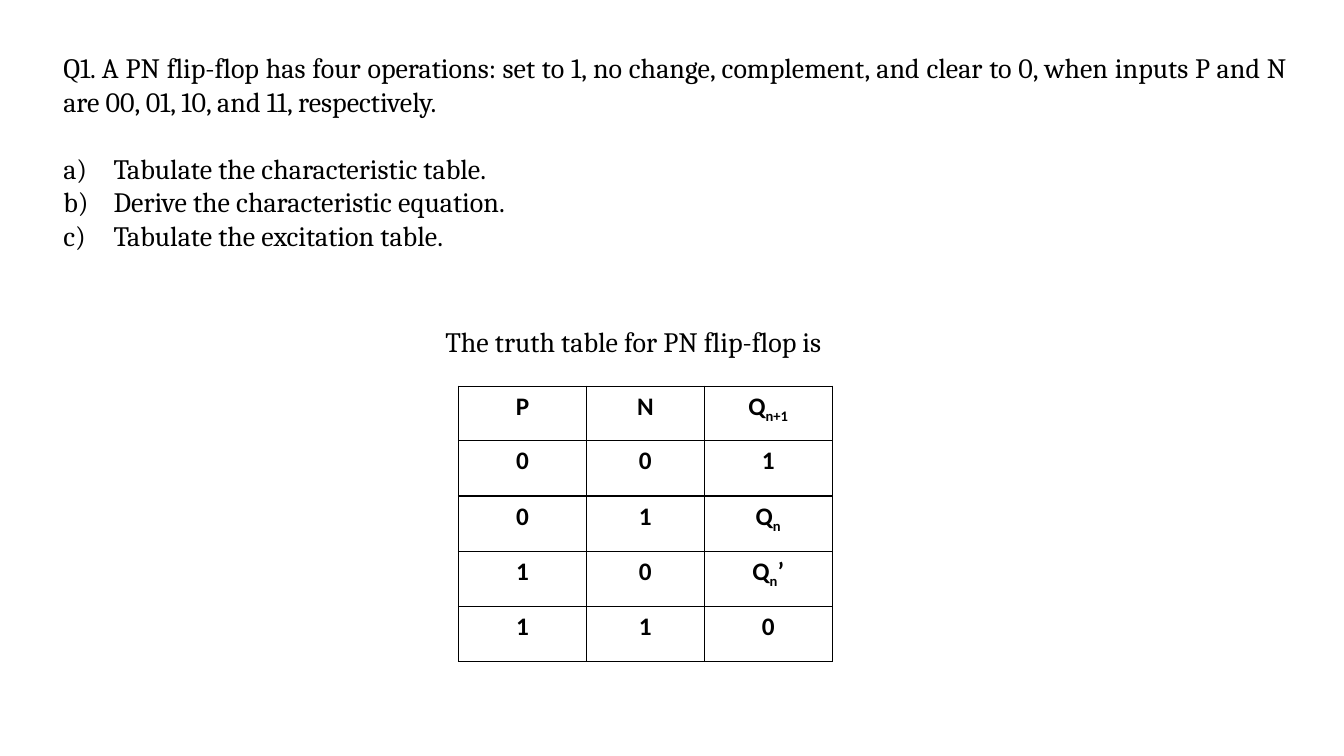
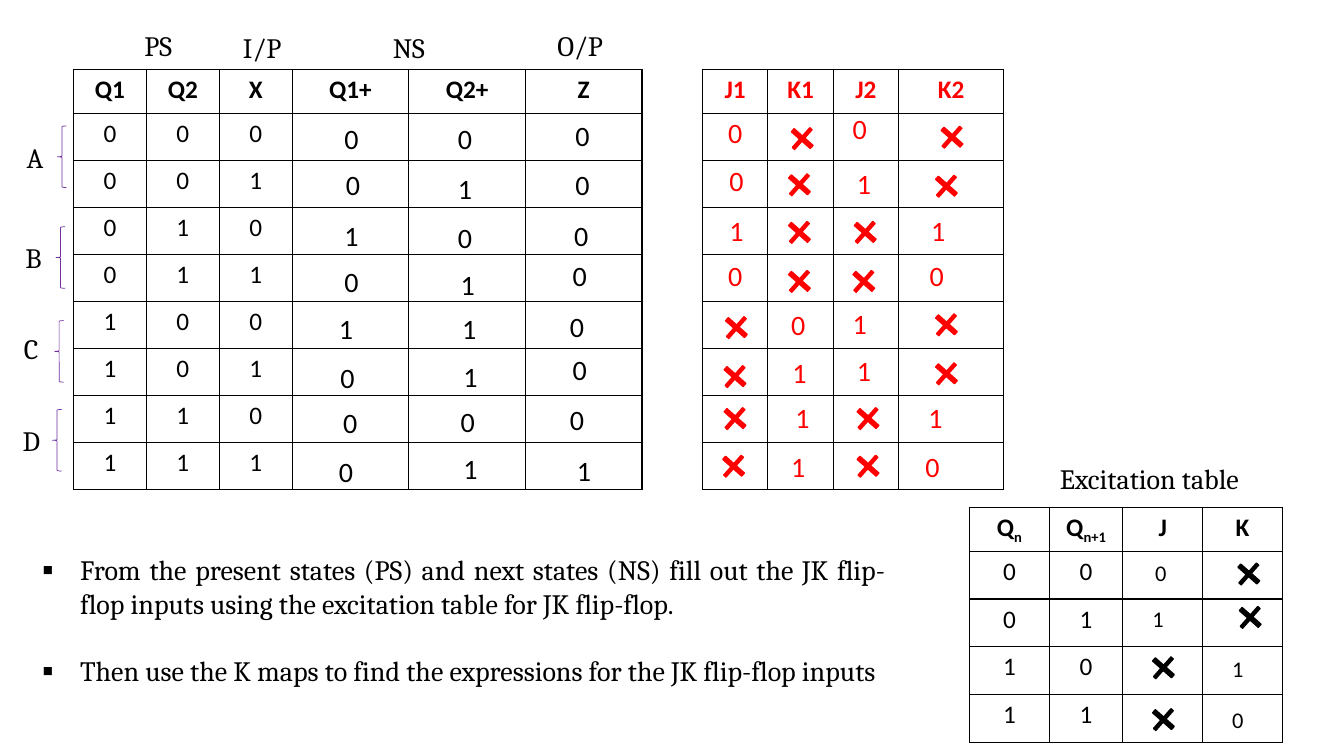
import dataclasses
import itertools
import typing

import lxml.etree
import pptx
import pptx.dml.color
import pptx.enum.shapes
import pptx.enum.text
import pptx.oxml.ns
import pptx.util

Pt = pptx.util.Pt
qn = pptx.oxml.ns.qn
KIND = pptx.enum.shapes.MSO_SHAPE
ALIGN = pptx.enum.text.PP_ALIGN
HUES = {"ink": "000000", "red": "FF0000", "brace": "7030A0"}
SERIF, SANS = "Cambria", "Calibri"


@dataclasses.dataclass
class Grid:
    x: float
    y: float
    cols: list[float]
    head: float
    step: float
    rows: list[list[str]]
    hue: str = "ink"
    bold: bool = False


@dataclasses.dataclass
class Column:
    """Marks that fill one table column, with their centres."""
    marks: str
    xs: tuple[float, ...]
    ys: tuple[float, ...]
    hue: str = "ink"
    size: float = 20


class Label(typing.NamedTuple):
    text: str
    x: float
    y: float
    width: float


class State(typing.NamedTuple):
    name: str
    x: float
    y: float
    left: float
    top: float


def tint(hue: str) -> pptx.dml.color.RGBColor:
    return pptx.dml.color.RGBColor.from_string(HUES[hue])


def bullet(para, kind: str, sign: str, hang: float) -> None:
    """Give a hanging bullet; kind is buChar or buAutoNum."""
    props = para._p.get_or_add_pPr()
    props.set("marL", str(Pt(hang)))
    props.set("indent", str(-Pt(hang)))
    lxml.etree.SubElement(props, qn("a:buFont"), typeface=SERIF)
    key = "char" if kind == "buChar" else "type"
    lxml.etree.SubElement(props, qn("a:" + kind), {key: sign})


def write(frame, *lines: str, size: float = 20, font: str = SERIF,
          hue: str = "ink", bold: bool = False, align=ALIGN.JUSTIFY,
          gap: float = 0, mark: tuple | None = None) -> None:
    """Fill a frame; underscores switch subscript on and off."""
    frame.word_wrap = True
    for at, line in enumerate(lines):
        para = frame.add_paragraph() if at else frame.paragraphs[0]
        if mark:
            bullet(para, *mark)
        para.alignment = align
        para.line_spacing = 1.0
        para.space_before = Pt(gap if at else 0)
        for part, piece in enumerate(line.split("_")):
            run = para.add_run()
            run.text = piece
            run.font.size, run.font.name = Pt(size), font
            run.font.bold = bold
            run.font.color.rgb = tint(hue)
            if part % 2:
                run._r.get_or_add_rPr().set("baseline", "-25000")


def place(shape, x: float, y: float, width: float, height: float):
    """Move a placeholder and return its text frame."""
    shape.left, shape.top = Pt(x), Pt(y)
    shape.width, shape.height = Pt(width), Pt(height)
    frame = shape.text_frame
    frame.auto_size = pptx.enum.text.MSO_AUTO_SIZE.NONE
    frame.vertical_anchor = pptx.enum.text.MSO_ANCHOR.TOP
    return frame


def box(slide, x: float, y: float, width: float, height: float, text: str,
        **look) -> None:
    shape = slide.shapes.add_textbox(Pt(x), Pt(y), Pt(width), Pt(height))
    write(shape.text_frame, text, **look)


def label(slide, item: Label) -> None:
    box(slide, item.x, item.y, item.width, 31.5, item.text)


def edge(cell) -> None:
    """Draw the four borders of a cell, without fill."""
    props = cell._tc.get_or_add_tcPr()
    for side in ("lnL", "lnR", "lnT", "lnB"):
        line = lxml.etree.SubElement(props, qn("a:" + side), w=str(Pt(1)))
        fill = lxml.etree.SubElement(line, qn("a:solidFill"))
        lxml.etree.SubElement(fill, qn("a:srgbClr"), val=HUES["ink"])
    cell.fill.background()


def table(slide, grid: Grid) -> None:
    count, tall = len(grid.rows), grid.head + grid.step * (len(grid.rows) - 1)
    frame = slide.shapes.add_table(count, len(grid.cols), Pt(grid.x), Pt(grid.y),
                                   Pt(sum(grid.cols)), Pt(tall))
    body = frame.table
    body.first_row = body.horz_banding = False
    for col, width in zip(body.columns, grid.cols):
        col.width = Pt(width)
    for at, (row, texts) in enumerate(zip(body.rows, grid.rows)):
        row.height = Pt(grid.step if at else grid.head)
        for cell, text in itertools.zip_longest(row.cells, texts):
            edge(cell)
            if text:
                write(cell.text_frame, text, size=18, font=SANS, hue=grid.hue,
                      bold=grid.bold or not at, align=ALIGN.CENTER)


def preset(slide, kind, x: float, y: float, width: float, height: float,
           hue: str, line: float):
    shape = slide.shapes.add_shape(kind, Pt(x), Pt(y), Pt(width), Pt(height))
    shape.shadow.inherit = False
    shape.fill.background()
    shape.line.color.rgb = tint(hue)
    shape.line.width = Pt(line)
    return shape


def cross(slide, x: float, y: float, hue: str) -> None:
    shape = preset(slide, KIND.CROSS, x - 9, y - 9.4, 18, 18.8, hue, 1)
    shape.adjustments[0] = 0.44
    shape.rotation = 41.5
    shape.fill.solid()
    shape.fill.fore_color.rgb = tint(hue)


def fill(slide, col: Column) -> None:
    tall = col.size * 1.2 + 7.6
    for mark, x, y in zip(col.marks, col.xs, col.ys):
        if mark == "x":
            cross(slide, x, y, col.hue)
        else:
            box(slide, x - 11, y - tall / 2, 25, tall, mark, size=col.size,
                font=SANS, hue=col.hue, align=ALIGN.LEFT)


def bits(width: int) -> list[list[str]]:
    """All binary rows of a given width, in counting order."""
    return [list(row) for row in itertools.product("01", repeat=width)]


TRUTH = Grid(327.5, 275.8, [91.5, 84, 91.5], 39, 39.5,
             [["P", "N", "Q_n+1"]] + [row + [out] for row, out in
              zip(bits(2), ("1", "Q_n", "Q_n_’", "0"))], bold=True)
GRIDS = [
    Grid(52.5, 49.7, [52.1] * 3 + [83.3] * 3, 31.5, 33.6,
         [["Q1", "Q2", "X", "Q1+", "Q2+", "Z"]] + bits(3)),
    Grid(501.8, 49.7, [46.7] * 3 + [75], 31.5, 33.6,
         [["J1", "K1", "J2", "K2"]] + [[]] * 8, "red"),
    Grid(692.6, 362.2, [57, 52.5, 57, 57], 31.5, 34.1,
         [["Q_n", "Q_n+1", "J", "K"]] + bits(2)),
]
COLUMNS = [
    Column("00101000", (250, 251, 250, 250, 246, 247, 249, 246),
           (99, 132, 168, 201, 235, 270, 302, 337)),
    Column("01011101", (331, 331, 331, 333, 334, 335, 333, 335),
           (99, 135, 170, 203, 235, 269, 301, 335)),
    Column("00000001", (415, 415, 414, 413, 411, 413, 411, 416),
           (97, 132, 168, 197, 233, 264, 300, 336)),
    Column("0010xxxx", (524, 525, 525, 524, 526, 525, 525, 524),
           (95, 129, 165, 197, 234, 269, 299, 333), "red"),
    Column("xxxx0111", (573, 571, 571, 571, 569, 570, 572, 569),
           (99, 132, 166, 201, 232, 266, 298, 333), "red"),
    Column("01xx11xx", (613, 616, 618, 617, 613, 616, 620, 620),
           (92, 131, 166, 201, 231, 265, 299, 333), "red"),
    Column("xx10xx10", (680, 676, 669, 668, 676, 676, 667, 665),
           (98, 133, 165, 197, 232, 267, 298, 333), "red"),
    Column("01xx", (829, 827, 831, 831), (409, 442, 477, 514), size=16),
    Column("xx10", (892, 893, 884, 884), (410, 441, 478, 514), size=16),
]
LABELS = [
    Label("PS", 96, 16.5, 37), Label("I/P", 166.5, 18, 45),
    Label("NS", 273.5, 18, 45), Label("O/P", 391, 16.5, 54),
    Label("Excitation table", 750, 326, 152),
]
STATES = [
    State("A", 12, 96.5, 41, 90), State("B", 11, 168.5, 40, 162),
    State("C", 10, 233.5, 39, 229), State("D", 9, 299, 37.5, 292.5),
]


def task(slide) -> None:
    write(place(slide.shapes.title, 38, 32.4, 889, 56),
          "Q1. A PN flip-flop has four operations: set to 1, no change, "
          "complement, and clear to 0, when inputs P and N are 00, 01, 10, "
          "and 11, respectively.")
    write(place(slide.placeholders[1], 38, 104.4, 889, 80),
          "Tabulate the characteristic table.",
          "Derive the characteristic equation.",
          "Tabulate the excitation table.",
          mark=("buAutoNum", "alphaLcParenR", 36))
    label(slide, Label("The truth table for PN flip-flop is", 311, 228.5, 299))
    table(slide, TRUTH)


def states(slide) -> None:
    title = slide.shapes.title._element
    title.getparent().remove(title)
    for grid in GRIDS:
        table(slide, grid)
    for item in LABELS:
        label(slide, item)
    for state in STATES:
        label(slide, Label(state.name, state.x, state.y, 32))
        preset(slide, KIND.LEFT_BRACE, state.left, state.top, 6.5, 44,
               "brace", 0.5)
    for col in COLUMNS:
        fill(slide, col)
    write(place(slide.placeholders[1], 23, 391, 617, 128),
          "From the present states (PS) and next states (NS) fill out the JK "
          "flip-flop inputs using the excitation table for JK flip-flop.",
          "Then use the K maps to find the expressions for the JK flip-flop "
          "inputs", gap=24, mark=("buChar", "▪", 27))


def main() -> None:
    deck = pptx.Presentation()
    deck.slide_width, deck.slide_height = Pt(960), Pt(540)
    for draw in (task, states):
        draw(deck.slides.add_slide(deck.slide_layouts[1]))
    deck.save("out.pptx")


if __name__ == "__main__":
    main()
